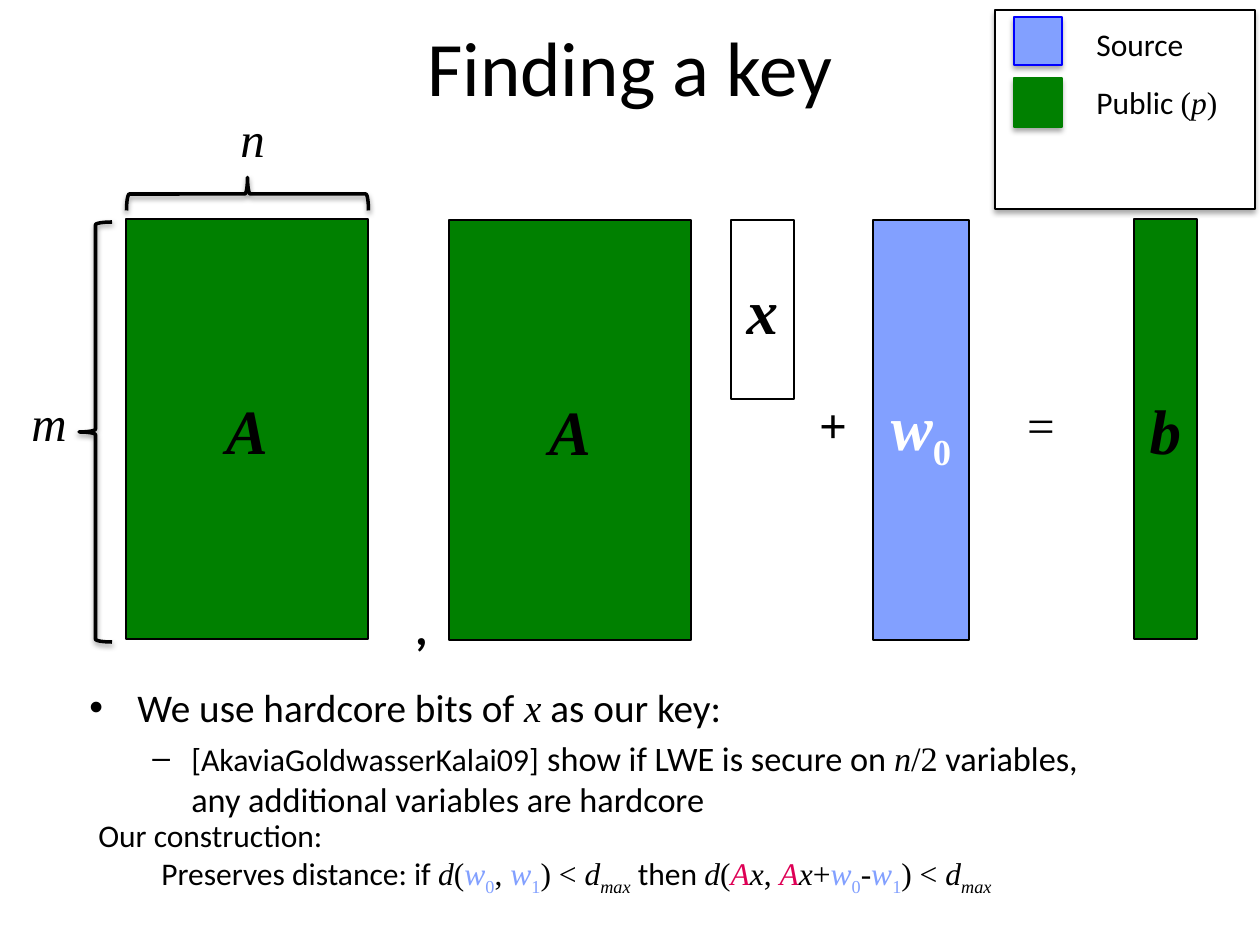
"""Build the "Finding a key" slide: a matrix equation, a legend and two notes."""
from dataclasses import dataclass

from lxml import etree
from pptx import Presentation
from pptx.dml.color import RGBColor
from pptx.enum.shapes import MSO_SHAPE
from pptx.enum.text import MSO_ANCHOR, MSO_AUTO_SIZE, PP_ALIGN
from pptx.oxml.ns import qn
from pptx.util import Emu, Pt

RECTANGLE, BRACE = MSO_SHAPE.RECTANGLE, MSO_SHAPE.LEFT_BRACE
LEFT, CENTER = PP_ALIGN.LEFT, PP_ALIGN.CENTER
TOP, MIDDLE = MSO_ANCHOR.TOP, MSO_ANCHOR.MIDDLE
FIT_SHAPE, NO_FIT = MSO_AUTO_SIZE.SHAPE_TO_FIT_TEXT, MSO_AUTO_SIZE.NONE
PX = 914400 / 126


@dataclass(frozen=True)
class Theme:
    black: str = "000000"
    white: str = "FFFFFF"
    source: str = "82A0FF"
    source_edge: str = "0000FF"
    public: str = "008000"
    accent: str = "DE0055"
    sans: str = "Calibri"
    serif: str = "Times New Roman"
    title: float = 44
    matrix: float = 36
    symbol: float = 28
    bullet: float = 22.4
    detail: float = 19.6
    citation: float = 18.2
    note: float = 18


THEME = Theme()
PLAIN = {"name": THEME.sans, "color": THEME.black}
ROMAN = {**PLAIN, "name": THEME.serif}
MATH = {**ROMAN, "italic": True}
MATH_SUB = {**MATH, "baseline": -25000}
SECRET = {**MATH, "color": THEME.source}
SECRET_SUB = {**ROMAN, "color": THEME.source, "baseline": -25000}
MATRIX = {**MATH, "color": THEME.accent}
BOLD_MATH = {**MATH, "bold": True}
WHITE_MATH = {**BOLD_MATH, "color": THEME.white}
WHITE_SUB = {**WHITE_MATH, "italic": False, "baseline": -25000}

TITLE = ((63, -13, 1134, 158), [("Finding a key", PLAIN)])
MATRICES = [
    ((126, 219, 242, 420), THEME.public, [("A", BOLD_MATH)]),
    ((449, 220, 242, 420), THEME.public, [("A", BOLD_MATH)]),
    ((731, 220, 63, 179), None, [("x", BOLD_MATH)]),
    ((873, 220, 96, 420), THEME.source, [("w", WHITE_MATH), ("0", WHITE_SUB)]),
    ((1134, 219, 63, 420), THEME.public, [("b", BOLD_MATH)]),
]
OPERATORS = [
    ((402, 590, 39, 72), [(",", {**PLAIN, "bold": True})]),
    ((806, 388, 54, 72), [("+", {**ROMAN, "bold": True})]),
    ((1014, 388, 54, 72), [("=", ROMAN)]),
]
DIMENSIONS = [
    ((79, 222, 33, 420), 0, (10, 386, 78, 72), "m"),
    ((231, 73, 33, 242), 90, (219, 102, 67, 72), "n"),
]
LEGEND_FRAME = (995, 10, 260, 199)
LEGEND = [
    ((1014, 17, 48, 48), THEME.source, THEME.source_edge,
     (1084, 19, 113, 50), [("Source", PLAIN)]),
    ((1014, 78, 48, 49), THEME.public, THEME.public,
     (1084, 77, 146, 50),
     [("Public ", PLAIN), ("(", ROMAN), ("p", MATH), (")", ROMAN)]),
]
DETAIL = {"size": THEME.detail}
HARDCORE_BOX = (77, 677, 1134, 134)
HARDCORE = [
    {"level": 0, "margin": 48, "indent": -48, "bullet": "•", "runs": [
        ("We use hardcore bits of ", PLAIN), ("x", MATH), (" as our key:", PLAIN)]},
    {"level": 1, "margin": 102, "indent": -39, "bullet": "–", "before": 4, "runs": [
        ("[AkaviaGoldwasserKalai09]", {**PLAIN, "size": THEME.citation}),
        (" show if LWE is secure on ", {**PLAIN, **DETAIL}),
        ("n", {**MATH, **DETAIL}), ("/2", {**ROMAN, **DETAIL}),
        (" variables, \nany additional variables are hardcore", {**PLAIN, **DETAIL})]},
]
W0 = [("w", SECRET), ("0", SECRET_SUB)]
W1 = [("w", SECRET), ("1", SECRET_SUB)]
AX = [("A", MATRIX), ("x", MATH)]
DISTANCE = [("d", MATH), ("(", ROMAN)]
BOUND = [(") < ", ROMAN), ("d", MATH), ("max", MATH_SUB)]
COMMA = [(", ", ROMAN)]
CONSTRUCTION_BOX = (86, 810, 1134, 89)
CONSTRUCTION = [
    {"runs": [("Our construction:", PLAIN)]},
    {"level": 1, "margin": 63, "indent": 0, "runs": [
        ("Preserves distance: if ", PLAIN), *DISTANCE, *W0, *COMMA, *W1, *BOUND,
        (" then ", PLAIN), *DISTANCE, *AX, *COMMA, *AX, ("+", ROMAN), *W0,
        ("-", ROMAN), *W1, *BOUND]},
]


def emu(pixels):
    return Emu(round(pixels * PX))


def add_run(paragraph, text, style, size):
    run = paragraph.add_run()
    run.text = text
    values = {"size": size, **style}
    run.font.color.rgb = RGBColor.from_string(values["color"])
    run.font.size = Pt(values["size"])
    for name in ("name", "bold", "italic"):
        setattr(run.font, name, values.get(name))
    if "baseline" in values:
        run.font._element.set("baseline", str(values["baseline"]))


def fill_text(shape, paragraphs, size, align=LEFT, anchor=TOP, wrap=True, fit=NO_FIT):
    frame = shape.text_frame
    for name, value in {"word_wrap": wrap, "auto_size": fit, "vertical_anchor": anchor}.items():
        setattr(frame, name, value)
    for index, content in enumerate(paragraphs):
        paragraph = frame.add_paragraph() if index else frame.paragraphs[0]
        layout = {"alignment": align, "level": content.get("level", 0),
                  "space_before": Pt(content.get("before", 0))}
        for name, value in layout.items():
            setattr(paragraph, name, value)
        properties = paragraph._p.get_or_add_pPr()
        if "margin" in content:
            properties.set("marL", str(emu(content["margin"])))
            properties.set("indent", str(emu(content["indent"])))
        if "bullet" in content:
            etree.SubElement(properties, qn("a:buFont"), typeface="Arial")
            etree.SubElement(properties, qn("a:buChar"), char=content["bullet"])
        for text, style in content["runs"]:
            for part, line in enumerate(text.split("\n")):
                if part:
                    paragraph.add_line_break()
                add_run(paragraph, line, style, size)


def add_text(shapes, box, paragraphs, size, **options):
    shape = shapes.add_textbox(*map(emu, box))
    fill_text(shape, paragraphs, size, **options)


def add_label(shapes, box, runs, size, align=CENTER):
    add_text(shapes, box, [{"runs": runs}], size, align=align, wrap=False, fit=FIT_SHAPE)


def add_figure(shapes, kind, box, fill, line, width, shadow=None):
    shape = shapes.add_shape(kind, *map(emu, box))
    shape.shadow.inherit = False
    if fill:
        shape.fill.solid()
        shape.fill.fore_color.rgb = RGBColor.from_string(fill)
    else:
        shape.fill.background()
    shape.line.color.rgb = RGBColor.from_string(line)
    shape.line.width = Pt(width)
    if shadow:
        opacity, distance = shadow
        effects = shape._element.spPr.find(qn("a:effectLst"))
        outer = etree.SubElement(effects, qn("a:outerShdw"), blurRad=str(Pt(3.1)),
                                 dist=str(Pt(distance)), dir="5400000", rotWithShape="0")
        color = etree.SubElement(outer, qn("a:srgbClr"), val=THEME.black)
        etree.SubElement(color, qn("a:alpha"), val=str(opacity * 1000))
    return shape


def main():
    presentation = Presentation()
    presentation.slide_width, presentation.slide_height = emu(1260), emu(945)
    slide = presentation.slides.add_slide(presentation.slide_layouts[6])
    shapes = slide.shapes

    box, runs = TITLE
    add_text(shapes, box, [{"runs": runs}], THEME.title, align=CENTER, anchor=MIDDLE)
    add_text(shapes, HARDCORE_BOX, HARDCORE, THEME.bullet)
    for box, runs in OPERATORS:
        add_label(shapes, box, runs, THEME.symbol)
    add_text(shapes, CONSTRUCTION_BOX, CONSTRUCTION, THEME.note, fit=FIT_SHAPE)
    for brace_box, rotation, label_box, letter in DIMENSIONS:
        group = shapes.add_group_shape()
        brace = add_figure(group.shapes, BRACE, brace_box, None, THEME.black, 2, (38, 1.6))
        brace.rotation = rotation
        add_label(group.shapes, label_box, [(letter, MATH)], THEME.symbol)
    add_figure(shapes, RECTANGLE, LEGEND_FRAME, THEME.white, THEME.black, 0.75, (35, 1.8))
    for swatch_box, fill, edge, label_box, runs in LEGEND:
        add_figure(shapes, RECTANGLE, swatch_box, fill, edge, 0.75, (35, 1.8))
        add_label(shapes, label_box, runs, THEME.note, align=LEFT)
    for box, fill, runs in MATRICES:
        matrix = add_figure(shapes, RECTANGLE, box, fill, THEME.black, 1)
        fill_text(matrix, [{"runs": runs}], THEME.matrix, align=CENTER, anchor=MIDDLE)
    presentation.save("out.pptx")


if __name__ == "__main__":
    main()
